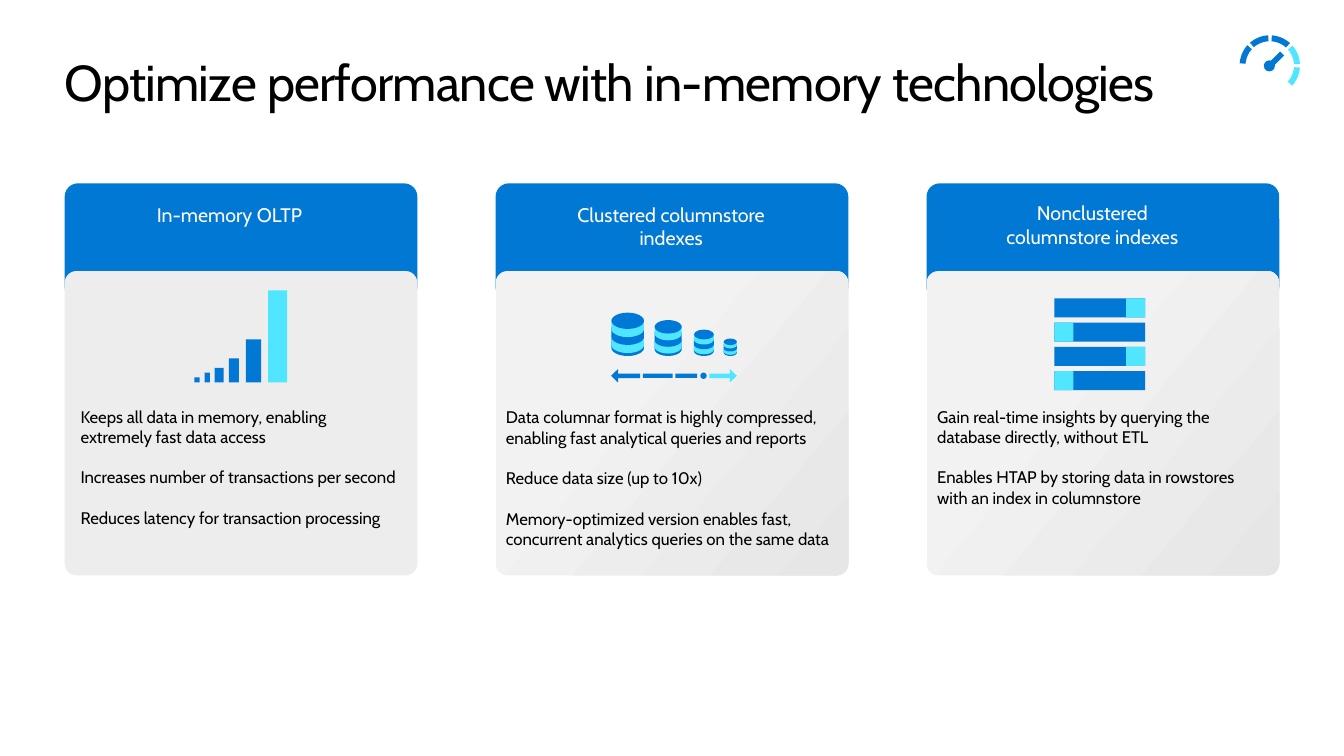
from math import cos, radians, sin

from pptx import Presentation
from pptx.dml.color import RGBColor
from pptx.enum import shapes, text
from pptx.util import Cm, Pt

FONT = "Cabin"
COLORS = {
    "blue": "0078D4", "disk": "0078D7", "cyan": "50E6FF", "black": "000000",
    "white": "FFFFFF", "grey": "EDEDED", "grey_start": "F2F2F2", "grey_end": "E6E6E6",
}
TITLE = "Optimize performance with in-memory technologies"

# Boxes are left, top, width, height in centimetres.
CARDS = [
    {
        "heading": "In-memory OLTP", "heading_box": (2.84, 4.98, 5.89, 0.86),
        "points": ["Keeps all data in memory, enabling extremely fast data access",
                   "Increases number of transactions per second",
                   "Reduces latency for transaction processing"],
        "points_box": (2.03, 10.24, 8.1, 3.58), "gradient": False,
    },
    {
        "heading": "Clustered columnstore indexes", "heading_box": (13.74, 4.98, 6.35, 1.45),
        "points": ["Data columnar format is highly compressed, enabling fast analytical queries and reports",
                   "Reduce data size (up to 10x)",
                   "Memory-optimized version enables fast, concurrent analytics queries on the same data"],
        "points_box": (12.75, 10.26, 8.26, 4.62), "gradient": True,
    },
    {
        "heading": "Nonclustered columnstore indexes", "heading_box": (24.61, 4.95, 5.84, 1.45),
        "points": ["Gain real-time insights by querying the database directly, without ETL",
                   "Enables HTAP by storing data in rowstores with an index in columnstore"],
        "points_box": (23.62, 10.24, 8.2, 2.57), "gradient": True,
    },
]
CARD_LEFT, CARD_PITCH, CARD_WIDTH = 1.63, 10.86, 8.89

# Bars: left, width, height, colour
BARS = [(4.9, 0.13, 0.13, "blue"), (5.16, 0.13, 0.25, "blue"), (5.41, 0.23, 0.37, "blue"),
        (5.77, 0.25, 0.61, "blue"), (6.2, 0.38, 1.09, "blue"), (6.76, 0.48, 2.32, "cyan")]
BAR_BASE = 9.64

# Disks: left, width
DISKS = [(15.41, 0.82), (16.5, 0.68), (17.49, 0.5), (18.24, 0.33)]
DISK_BASE = 8.97
# Bands: bottom edge above the base as a share of the width, colour
DISK_BANDS = [(0, "disk"), (0.09, "cyan"), (0.34, "disk"), (0.58, "cyan")]

# Scale: shape, left, width, height, colour
MSO = shapes.MSO_SHAPE
SCALE_PARTS = [(MSO.LEFT_ARROW, 15.4, 0.73, 0.34, "blue"), (MSO.RECTANGLE, 16.2, 0.75, 0.11, "blue"),
               (MSO.RECTANGLE, 17.02, 0.55, 0.11, "blue"), (MSO.OVAL, 17.65, 0.16, 0.16, "disk"),
               (MSO.RIGHT_ARROW, 17.88, 0.69, 0.34, "cyan")]
SCALE_MIDDLE = 9.47

ROW_LEFT, ROW_TOP, ROW_WIDTH, ROW_HEIGHT, ROW_PITCH = 26.57, 7.52, 2.29, 0.48, 0.61

GAUGE_X, GAUGE_Y, GAUGE_OUTER, GAUGE_INNER = 32.0, 1.65, 0.76, 0.61
GAUGE_COLORS = ["cyan", "cyan", "blue", "blue", "blue"]
NEEDLE = [(32.03, 1.73), (31.93, 1.63), (32.26, 1.3), (32.36, 1.4)]


def rgb(name):
    return RGBColor.from_string(COLORS[name])


def paint(shape, color):
    """Give a shape a plain fill without line or shadow."""
    shape.shadow.inherit = False
    shape.fill.solid()
    shape.fill.fore_color.rgb = rgb(color)
    shape.line.fill.background()


def add_preset(parent, kind, box, color, adjustments=()):
    shape = parent.shapes.add_shape(kind, *map(Cm, box))
    paint(shape, color)
    for index, value in enumerate(adjustments):
        shape.adjustments[index] = value
    return shape


def add_polygon(parent, points, color):
    start, *others = [(Cm(x), Cm(y)) for x, y in points]
    builder = parent.shapes.build_freeform(*start)
    builder.add_line_segments(others)
    paint(builder.convert_to_shape(), color)


def arc(x, y, radius_x, radius_y, first, last, steps=24):
    """List points on an ellipse between two clockwise angles."""
    angles = [radians(first + (last - first) * step / steps) for step in range(steps + 1)]
    return [(x + radius_x * cos(a), y + radius_y * sin(a)) for a in angles]


def place(shape, box):
    shape.left, shape.top, shape.width, shape.height = map(Cm, box)


def write(shape, paragraphs, size, color, align, margin=True):
    frame = shape.text_frame
    frame.word_wrap = True
    if not margin:
        frame.margin_left = frame.margin_top = frame.margin_right = frame.margin_bottom = 0
    frame.text = "\n".join(paragraphs)
    for index, paragraph in enumerate(frame.paragraphs):
        paragraph.alignment = align
        paragraph.space_before = Pt(14.6 if index else 0)
        for run in paragraph.runs:
            run.font.name = FONT
            run.font.size = Pt(size)
            run.font.color.rgb = rgb(color)


def add_card(slide, index, card):
    left = CARD_LEFT + index * CARD_PITCH
    add_preset(slide, MSO.ROUNDED_RECTANGLE, (left, 4.62, CARD_WIDTH, 2.95), "blue", [0.114])
    panel = add_preset(slide, MSO.ROUNDED_RECTANGLE, (left, 6.83, CARD_WIDTH, 7.67), "grey", [0.039])
    if card["gradient"]:
        panel.fill.gradient()
        panel.fill.gradient_angle = 320
        stops = zip(panel.fill.gradient_stops, [(0.32, "grey_start"), (1, "grey_end")])
        for stop, (position, color) in stops:
            stop.position = position
            stop.color.rgb = rgb(color)
    heading = slide.shapes.add_textbox(*map(Cm, card["heading_box"]))
    write(heading, [card["heading"]], 14, "white", text.PP_ALIGN.CENTER)
    points = slide.shapes.add_textbox(*map(Cm, card["points_box"]))
    write(points, card["points"], 12, "black", text.PP_ALIGN.LEFT, margin=False)


def add_gauge(slide):
    group = slide.shapes.add_group_shape()
    for index, color in enumerate(GAUGE_COLORS):
        first = 4 - 45 * index
        last = first + 38
        outer = arc(GAUGE_X, GAUGE_Y, GAUGE_OUTER, GAUGE_OUTER, first, last)
        inner = arc(GAUGE_X, GAUGE_Y, GAUGE_INNER, GAUGE_INNER, last, first)
        add_polygon(group, outer + inner, color)
    add_preset(group, MSO.OVAL, (GAUGE_X - 0.15, GAUGE_Y - 0.13, 0.28, 0.28), "blue")
    add_polygon(group, NEEDLE, "blue")


def add_bars(slide):
    group = slide.shapes.add_group_shape()
    for left, width, height, color in BARS:
        add_preset(group, MSO.RECTANGLE, (left, BAR_BASE - height, width, height), color)


def add_disks(slide):
    group = slide.shapes.add_group_shape()
    for left, width in DISKS:
        for rise, color in DISK_BANDS:
            side_end = DISK_BASE - (rise + 0.25) * width
            side_top = side_end - 0.3 * width
            curve = arc(left + width / 2, side_end, width / 2, width / 4, 0, 180)
            add_polygon(group, [(left, side_top), (left + width, side_top)] + curve, color)
        add_preset(group, MSO.OVAL, (left, DISK_BASE - 1.33 * width, width, width / 2), "disk")
    for kind, left, width, height, color in SCALE_PARTS:
        is_arrow = kind in (MSO.LEFT_ARROW, MSO.RIGHT_ARROW)
        box = (left, SCALE_MIDDLE - height / 2, width, height)
        add_preset(group, kind, box, color, [0.33, 0.52] if is_arrow else [])


def add_rows(slide):
    group = slide.shapes.add_group_shape()
    for index in range(4):
        top = ROW_TOP + index * ROW_PITCH
        cell_left = ROW_LEFT if index % 2 else ROW_LEFT + ROW_WIDTH - ROW_HEIGHT
        add_preset(group, MSO.RECTANGLE, (ROW_LEFT, top, ROW_WIDTH, ROW_HEIGHT), "blue")
        add_preset(group, MSO.RECTANGLE, (cell_left, top, ROW_HEIGHT, ROW_HEIGHT), "cyan")


def main():
    presentation = Presentation()
    presentation.slide_width, presentation.slide_height = Cm(33.87), Cm(19.05)
    slide = presentation.slides.add_slide(presentation.slide_layouts[5])
    title = slide.shapes.title
    place(title, (1.63, 1.27, 30.61, 1.55))
    write(title, [TITLE], 36, "black", text.PP_ALIGN.LEFT, margin=False)
    title.text_frame.auto_size = text.MSO_AUTO_SIZE.NONE
    title.text_frame.vertical_anchor = text.MSO_ANCHOR.MIDDLE
    title.text_frame.paragraphs[0].runs[0].font._element.set("spc", "-50")
    add_gauge(slide)
    for index, card in enumerate(CARDS):
        add_card(slide, index, card)
    add_rows(slide)
    add_bars(slide)
    add_disks(slide)
    presentation.save("out.pptx")


if __name__ == "__main__":
    main()
